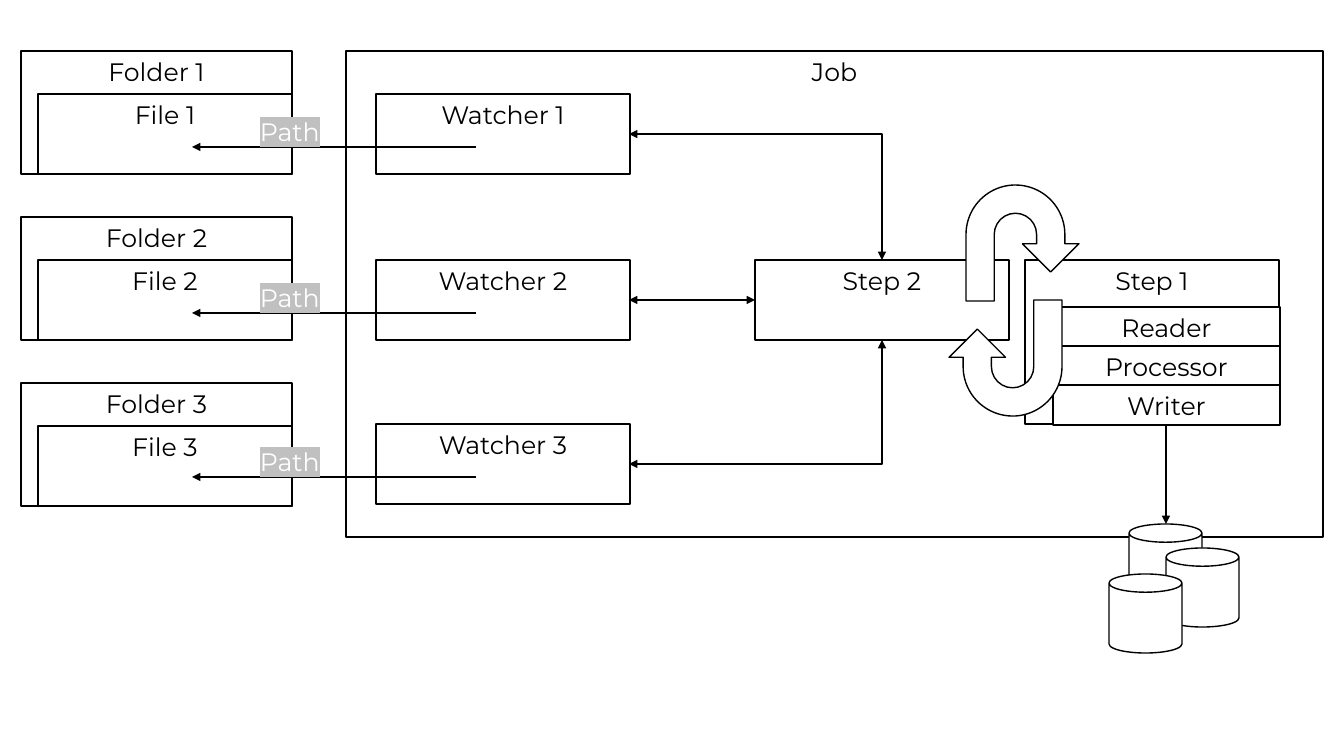
from pptx import Presentation
from pptx.dml.color import RGBColor
from pptx.enum.shapes import MSO_CONNECTOR, MSO_SHAPE
from pptx.enum.text import MSO_ANCHOR, MSO_AUTO_SIZE, PP_ALIGN
from pptx.oxml.ns import qn
from pptx.util import Emu, Pt
from lxml.etree import SubElement

BLACK = RGBColor(0x00, 0x00, 0x00)
WHITE = RGBColor(0xFF, 0xFF, 0xFF)
GRAY = RGBColor(0xC0, 0xC0, 0xC0)
SCALE = 914400 / 100.8


def px(*sizes):
    return [Emu(round(size * SCALE)) for size in sizes]


def apply(target, values):
    for key, value in values.items():
        setattr(target, key, value)


class Board:
    font = {"name": "Montserrat", "size": Pt(18)}
    frame = {"vertical_anchor": MSO_ANCHOR.TOP, "word_wrap": True}
    label = {"word_wrap": False, "auto_size": MSO_AUTO_SIZE.SHAPE_TO_FIT_TEXT}

    def __init__(self, deck):
        self.slide = deck.slides.add_slide(deck.slide_layouts[6])
        self.shapes = self.slide.shapes

    def text(self, shape, words, color, frame, align):
        apply(shape.text_frame, frame)
        para = shape.text_frame.paragraphs[0]
        para.alignment = align
        run = para.add_run()
        run.text = words
        apply(run.font, self.font)
        run.font.color.rgb = color
        return run

    def shape(self, kind, left, top, width, height, turn=0):
        shape = self.shapes.add_shape(kind, *px(left, top, width, height))
        shape.shadow.inherit = False
        shape.fill.solid()
        shape.fill.fore_color.rgb = WHITE
        shape.line.color.rgb = BLACK
        shape.line.width = Pt(1)
        shape.rotation = turn
        return shape

    def box(self, words, *place):
        shape = self.shape(MSO_SHAPE.RECTANGLE, *place)
        self.text(shape, words, BLACK, self.frame, PP_ALIGN.CENTER)
        return shape

    def tag(self, words, *place):
        shape = self.shapes.add_textbox(*px(*place))
        run = self.text(shape, words, WHITE, self.label, PP_ALIGN.LEFT)
        props = run._r.get_or_add_rPr()
        mark = SubElement(props, qn("a:highlight"))
        SubElement(mark, qn("a:srgbClr"), val=str(GRAY))
        props.find(qn("a:solidFill")).addnext(mark)

    def arrow(self, *ends, both=False, bent=False):
        line = self.shapes.add_connector(MSO_CONNECTOR.STRAIGHT, *px(*ends))
        line.line.color.rgb = BLACK
        line.line.width = Pt(1.5)
        props = line._element.spPr
        if bent:
            props.find(qn("a:prstGeom")).set("prst", "bentConnector2")
        stroke = props.find(qn("a:ln"))
        for name in ("a:headEnd", "a:tailEnd") if both else ("a:tailEnd",):
            SubElement(stroke, qn(name), type="triangle")
        SubElement(props, qn("a:effectLst"))

    def group(self, *parts):
        self.shapes.add_group_shape(parts)


def main():
    deck = Presentation()
    deck.slide_width, deck.slide_height = px(1344, 756)
    board = Board(deck)
    rows = list(enumerate([(51, 94), (217, 260), (383, 424)], 1))

    board.box("Job", 346, 51, 977, 486)
    for num, (folder, watch) in rows:
        board.group(
            board.box(f"Folder {num}", 21, folder, 271, 123),
            board.box(f"File {num}", 38, folder + 43, 254, 80),
        )
        board.box(f"Watcher {num}", 376, watch, 254, 80)
        board.arrow(476, watch + 53, 192, watch + 53)

    board.box("Step 2", 755, 260, 254, 80)
    board.arrow(629, 134, 882, 260, both=True, bent=True)
    board.arrow(629, 464, 882, 340, both=True, bent=True)
    board.arrow(755, 300, 629, 300, both=True)

    board.box("Step 1", 1025, 260, 254, 164)
    board.shape(MSO_SHAPE.U_TURN_ARROW, 966, 185, 113, 116)
    for num, part in enumerate(["Reader", "Processor", "Writer"]):
        board.box(part, 1053, 307 + 39 * num, 227, 40)
    board.arrow(1166, 424, 1166, 524)
    board.group(*(
        board.shape(MSO_SHAPE.CAN, left, top, 73, 79)
        for left, top in [(1129, 524), (1166, 548), (1109, 574)]
    ))

    for num, (folder, watch) in rows:
        board.tag("Path", 250, watch + 17, 83, 40)
    board.shape(MSO_SHAPE.U_TURN_ARROW, 949, 300, 113, 116, turn=180)
    deck.save("out.pptx")


if __name__ == "__main__":
    main()
